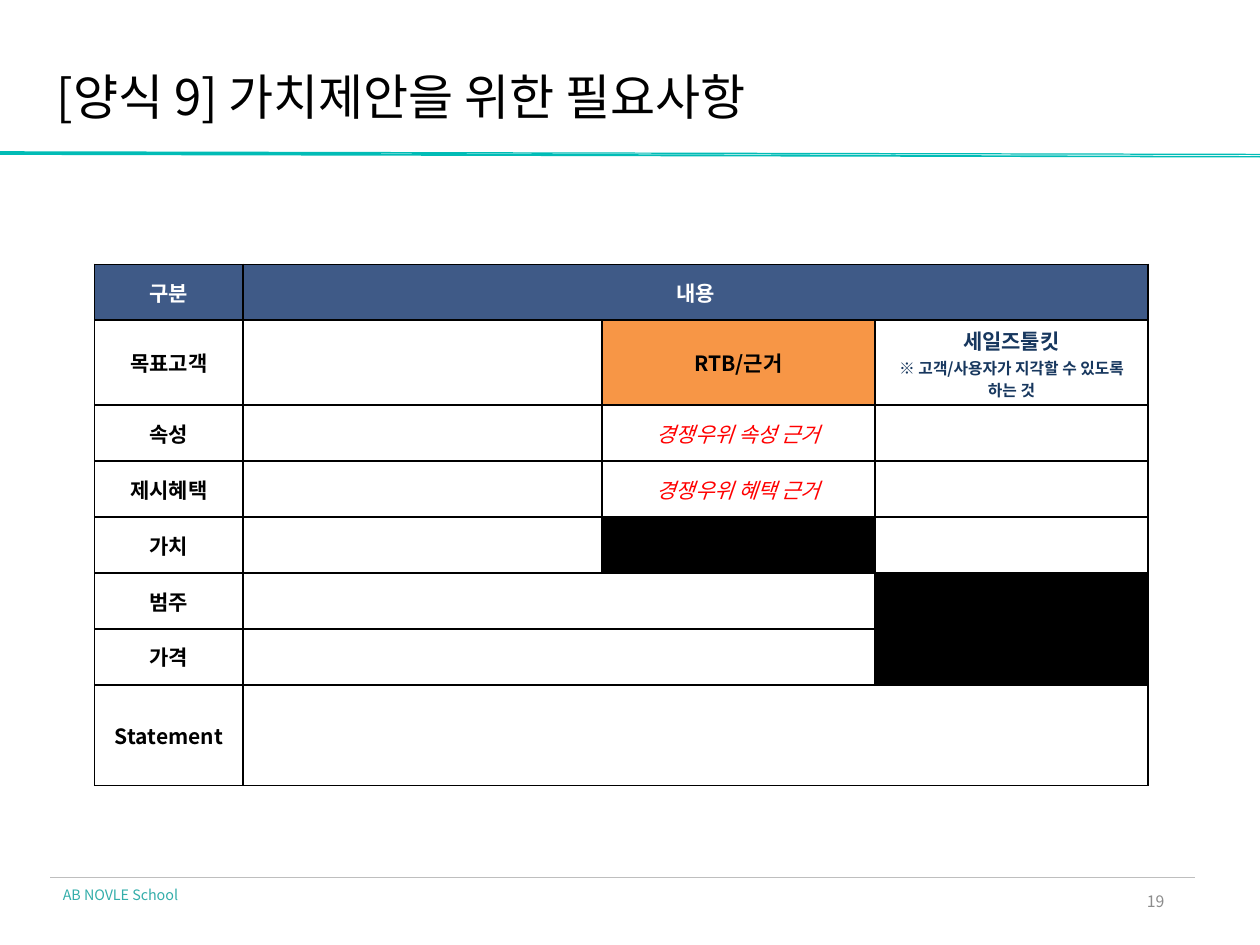
"""Build the value proposition requirements form as a one-slide deck."""
import lxml.etree
import pptx
import pptx.dml.color
import pptx.enum.shapes
import pptx.enum.text
import pptx.oxml.ns
import pptx.util

Pt = pptx.util.Pt
RGB = pptx.dml.color.RGBColor
ALIGN = pptx.enum.text.PP_ALIGN
ANCHOR = pptx.enum.text.MSO_ANCHOR
qn = pptx.oxml.ns.qn

FONT = "Noto Sans CJK KR"
BLACK, WHITE, RED = RGB(0, 0, 0), RGB(255, 255, 255), RGB(255, 0, 0)
HEADER_BLUE, NAVY = RGB(0x3F, 0x5A, 0x87), RGB(0x17, 0x37, 0x5E)
ORANGE, TEAL = RGB(0xF7, 0x96, 0x46), RGB(0x01, 0xBC, 0xB6)
FOOTER_TEAL, PAGE_GRAY = RGB(0x34, 0xAE, 0xAA), RGB(0x8C, 0x8C, 0x8C)
RULE_GRAY = RGB(0xBE, 0xBE, 0xBE)

TITLE = "[양식 9] 가치제안을 위한 필요사항"
FOOTER, PAGE = "AB NOVLE School", "19"
FORM = [
    ["구분", "내용", "", ""],
    ["목표고객", "", "RTB/근거", "세일즈툴킷\n※ 고객/사용자가 지각할 수 있도록 하는 것"],
    ["속성", "", "경쟁우위 속성 근거", ""],
    ["제시혜택", "", "경쟁우위 혜택 근거", ""],
    ["가치", "", "", ""],
    ["범주", "", "", ""],
    ["가격", "", "", ""],
    ["Statement", "", "", ""],
]
COLUMN_WIDTHS = [85, 205, 156, 156]
ROW_HEIGHTS = [32, 48.5, 32, 32, 32, 32, 32, 57.5]
MERGES = [((0, 1), (0, 3)), ((5, 1), (5, 2)), ((6, 1), (6, 2)),
          ((5, 3), (6, 3)), ((7, 1), (7, 3))]
FILLS = {(0, 0): HEADER_BLUE, (0, 1): HEADER_BLUE, (1, 2): ORANGE,
         (4, 2): BLACK, (5, 3): BLACK, (6, 3): BLACK}
BOLD = {"size": Pt(12), "bold": True, "italic": False}
EVIDENCE = {"size": Pt(12), "bold": False, "italic": True}
BAND_STRIPS = [(87.1, 88.5, 90, 89.2), (86.4, 87.1, 88.6, 87.9)]
CELL_INSETS = {"margin_left": Pt(5), "margin_right": Pt(5),
               "margin_top": Pt(3), "margin_bottom": Pt(3),
               "vertical_anchor": ANCHOR.MIDDLE}


def apply(target, settings):
    for name, value in settings.items():
        setattr(target, name, value)


def write(paragraph, text, color, align, settings):
    paragraph.alignment = align
    run = paragraph.add_run()
    run.text = text
    apply(run.font, {"name": FONT, **settings})
    run.font.color.rgb = color
    east_asian = lxml.etree.SubElement(run.font._element, qn("a:ea"))
    east_asian.set("typeface", FONT)


def add_label(slide, box, text, color, align, size, insets):
    label = slide.shapes.add_textbox(*map(Pt, box)).text_frame
    apply(label, {"word_wrap": True, **insets})
    write(label.paragraphs[0], text, color, align, {"size": Pt(size)})


def add_title(slide):
    title = slide.shapes.title
    apply(title, {"left": Pt(32.4), "top": Pt(38), "width": Pt(650), "height": Pt(34)})
    apply(title.text_frame, {
        "margin_left": 0, "margin_right": 0, "margin_top": 0, "margin_bottom": 0,
        "vertical_anchor": ANCHOR.MIDDLE, "word_wrap": True,
        "auto_size": pptx.enum.text.MSO_AUTO_SIZE.NONE})
    write(title.text_frame.paragraphs[0], TITLE, BLACK, ALIGN.LEFT, {"size": Pt(28)})


def add_band(slide):
    builder = slide.shapes.build_freeform(0, Pt(BAND_STRIPS[0][0]))
    for start, lower_left, lower_right, upper_right in BAND_STRIPS:
        builder.move_to(0, Pt(start))
        builder.add_line_segments([(0, Pt(lower_left)), (Pt(720), Pt(lower_right)),
                                   (Pt(720), Pt(upper_right))], close=True)
    band = builder.convert_to_shape()
    band.shadow.inherit = False
    band.fill.solid()
    band.fill.fore_color.rgb = TEAL
    band.line.fill.background()


def add_footer(slide):
    rule = slide.shapes.add_connector(pptx.enum.shapes.MSO_CONNECTOR.STRAIGHT,
                                      Pt(28.8), Pt(501.5), Pt(682.8), Pt(501.5))
    rule.line.color.rgb = RULE_GRAY
    rule.line.width = Pt(0.5)
    lxml.etree.SubElement(rule._element.spPr, qn("a:effectLst"))
    add_label(slide, (28.8, 502.6, 110, 17.3), FOOTER, FOOTER_TEAL, ALIGN.LEFT, 8.2, {})
    add_label(slide, (508.3, 500.4, 162, 28.8), PAGE, PAGE_GRAY, ALIGN.RIGHT, 9,
              {**CELL_INSETS})


def add_borders(cell):
    properties = cell._tc.get_or_add_tcPr()
    for side in ("lnL", "lnR", "lnT", "lnB"):
        border = lxml.etree.SubElement(properties, qn(f"a:{side}"), w=str(Pt(1)))
        fill = lxml.etree.SubElement(border, qn("a:solidFill"))
        lxml.etree.SubElement(fill, qn("a:srgbClr"), val=str(BLACK))


def fill_cell(cell, row, column, text):
    apply(cell, CELL_INSETS)
    add_borders(cell)
    cell.fill.solid()
    cell.fill.fore_color.rgb = FILLS.get((row, column), WHITE)
    if not text:
        cell.text_frame.paragraphs[0]._p.get_or_add_endParaRPr().set("sz", "1200")
        return
    color, settings = (WHITE if row == 0 else BLACK), BOLD
    if column == 2 and row > 1:
        color, settings = RED, EVIDENCE
    elif column == 3:
        color = NAVY
    for index, line in enumerate(text.split("\n")):
        frame = cell.text_frame
        paragraph = frame.add_paragraph() if index else frame.paragraphs[0]
        note = {"size": Pt(9)} if index else {}
        write(paragraph, line, color, ALIGN.CENTER, {**settings, **note})


def add_form(slide):
    form = slide.shapes.add_table(
        len(FORM), len(COLUMN_WIDTHS), Pt(54), Pt(151),
        Pt(sum(COLUMN_WIDTHS)), Pt(sum(ROW_HEIGHTS))).table
    apply(form, {"first_row": False, "horz_banding": False})
    for column, width in zip(form.columns, COLUMN_WIDTHS):
        column.width = Pt(width)
    for row, height in zip(form.rows, ROW_HEIGHTS):
        row.height = Pt(height)
    for first, last in MERGES:
        form.cell(*first).merge(form.cell(*last))
    for row, texts in enumerate(FORM):
        for column, text in enumerate(texts):
            fill_cell(form.cell(row, column), row, column, text)


def main():
    deck = pptx.Presentation()
    apply(deck, {"slide_width": Pt(720), "slide_height": Pt(540)})
    slide = deck.slides.add_slide(deck.slide_layouts[5])
    add_band(slide)
    add_footer(slide)
    add_title(slide)
    add_form(slide)
    deck.save("out.pptx")


if __name__ == "__main__":
    main()
